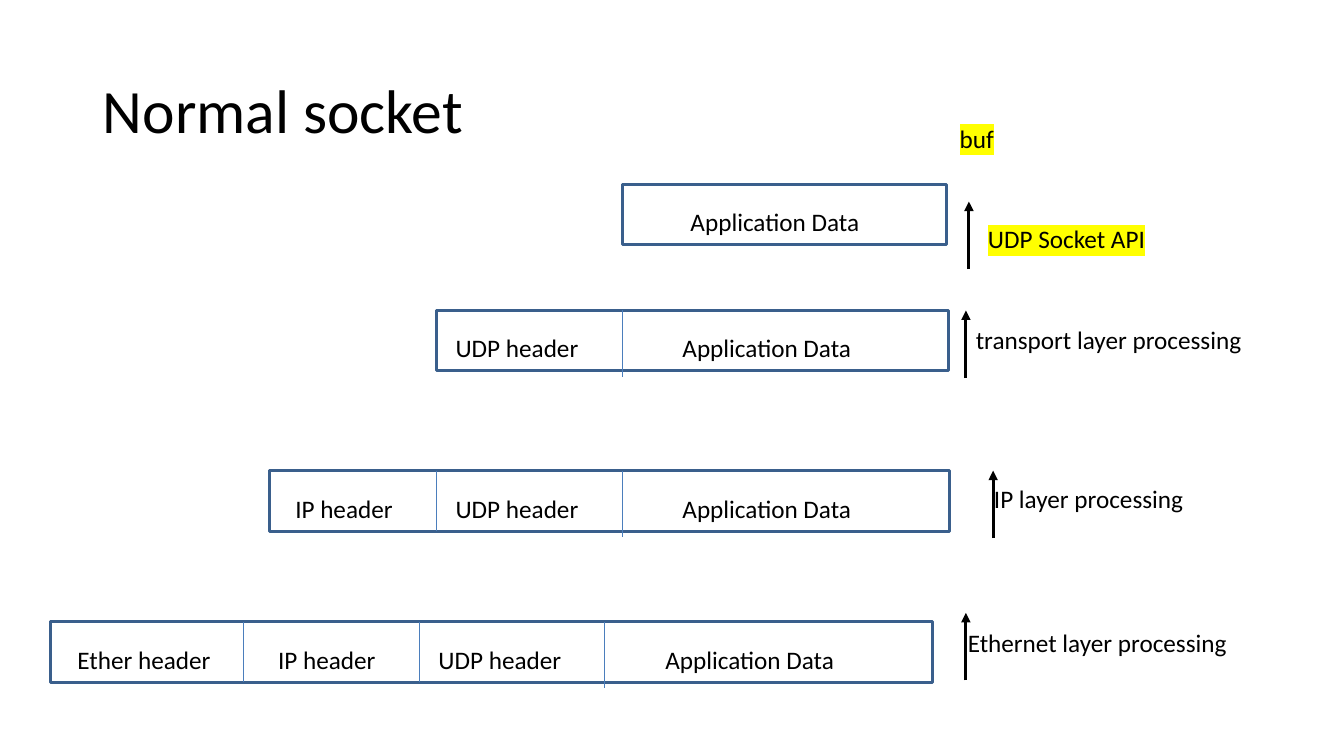
from pptx import Presentation
from pptx.dml.color import RGBColor
from pptx.enum.shapes import MSO_CONNECTOR as Conn, MSO_SHAPE as Shape
from pptx.enum.text import MSO_ANCHOR as Anchor, MSO_AUTO_SIZE as Auto, PP_ALIGN as Align
from pptx.oxml import parse_xml
from pptx.oxml.ns import nsdecls
from pptx.util import Inches, Pt

BLACK = RGBColor(0x00, 0x00, 0x00)
WHITE = RGBColor(0xFF, 0xFF, 0xFF)
NAVY = RGBColor(0x3A, 0x5F, 0x8C)
BLUE = RGBColor(0x4B, 0x7E, 0xBC)
YELLOW = RGBColor(0xFF, 0xFF, 0x00)

HEIGHT = 0.6
FIELDS = [
    ("Ether header", 0.84, 1.61),
    ("IP header", 2.83, 1.61),
    ("UDP header", 4.42, 1.61),
    ("Application Data", 6.67, 2.15),
]
EDGES = [2.59, 4.33, 6.17]
PACKETS = [
    (1, 6.17, 1.83, 3.22, 0.08),
    (2, 4.33, 3.08, 5.08, 0),
    (3, 2.67, 4.67, 6.75, 0),
    (4, 0.5, 6.17, 8.75, -0.17),
]
STEPS = [
    ("UDP Socket API", 9.7, 2.17, 9.61, 2, YELLOW),
    ("transport layer processing", 9.58, 3.17, 9.58, 3.08, None),
    ("IP layer processing", 9.76, 4.75, 9.85, 4.67, None),
    ("Ethernet layer processing", 9.5, 6.17, 9.58, 6.08, None),
]


class Deck:
    """Holds the text style and the slide being drawn."""

    def __init__(self):
        """Open a wide deck with one title slide."""
        self.font = "Calibri"
        self.size = 18
        self.file = Presentation()
        self.file.slide_width = Inches(13.33)
        self.file.slide_height = Inches(7.5)
        self.slide = self.file.slides.add_slide(self.file.slide_layouts[5])

    def style(self, frame, size, mark=None):
        """Format the only run of a frame."""
        para = frame.paragraphs[0]
        para.alignment = Align.LEFT
        run = para.runs[0]
        run.font.size = Pt(size)
        run.font.color.rgb = BLACK
        run.font.name = self.font
        if mark is not None:
            fill = run.font.fill._xPr.find("{*}solidFill")
            fill.addnext(parse_xml(
                f'<a:highlight {nsdecls("a")}><a:srgbClr val="{mark}"/></a:highlight>'))

    def title(self, text):
        """Fill and place the title."""
        head = self.slide.shapes.title
        head.left, head.top = Inches(0.92), Inches(0.4)
        head.width, head.height = Inches(11.5), Inches(1.45)
        frame = head.text_frame
        frame.text = text
        frame.vertical_anchor = Anchor.MIDDLE
        frame.paragraphs[0].line_spacing = 0.9
        self.style(frame, 44)

    def label(self, text, left, top, width, mark=None):
        """Add a line of text."""
        box = self.slide.shapes.add_textbox(
            Inches(left), Inches(top), Inches(width), Inches(0.4))
        frame = box.text_frame
        frame.word_wrap = True
        frame.auto_size = Auto.SHAPE_TO_FIT_TEXT
        frame.text = text
        self.style(frame, self.size, mark)

    def box(self, left, top, width):
        """Add a packet outline."""
        rect = self.slide.shapes.add_shape(
            Shape.RECTANGLE, Inches(left), Inches(top), Inches(width), Inches(HEIGHT))
        rect.shadow.inherit = False
        rect.fill.solid()
        rect.fill.fore_color.rgb = WHITE
        rect.line.color.rgb = NAVY
        rect.line.width = Pt(2)

    def line(self, left, start, end, color, width):
        """Add an upright line and return it."""
        link = self.slide.shapes.add_connector(
            Conn.STRAIGHT, Inches(left), Inches(start), Inches(left), Inches(end))
        link.line.color.rgb = color
        link.line.width = Pt(width)
        link._element.spPr.append(parse_xml(f'<a:effectLst {nsdecls("a")}/>'))
        return link

    def arrow(self, left, top):
        """Add an arrow that points up."""
        link = self.line(left, top + 0.67, top, BLACK, 2.25)
        link.line._get_or_add_ln().append(
            parse_xml(f'<a:tailEnd {nsdecls("a")} type="triangle"/>'))

    def packet(self, count, left, top, width, shift):
        """Draw a packet with its last few fields."""
        self.box(left, top, width)
        first = len(FIELDS) - count
        for edge in EDGES[first:]:
            extra = 0.06 if edge == EDGES[-1] else 0
            self.line(edge + shift, top, top + HEIGHT + extra, BLUE, 0.75)
        for name, x, wide in FIELDS[first:]:
            self.label(name, x + shift, top + 0.17, wide)


def main():
    """Build and save the slide."""
    deck = Deck()
    deck.title("Normal socket")
    deck.label("buf", 9.42, 1.17, 3.42, YELLOW)
    for packet in PACKETS:
        deck.packet(*packet)
    for text, left, top, x, y, mark in STEPS:
        deck.arrow(x, y)
        deck.label(text, left, top, 3.42, mark)
    deck.file.save("out.pptx")


if __name__ == "__main__":
    main()
